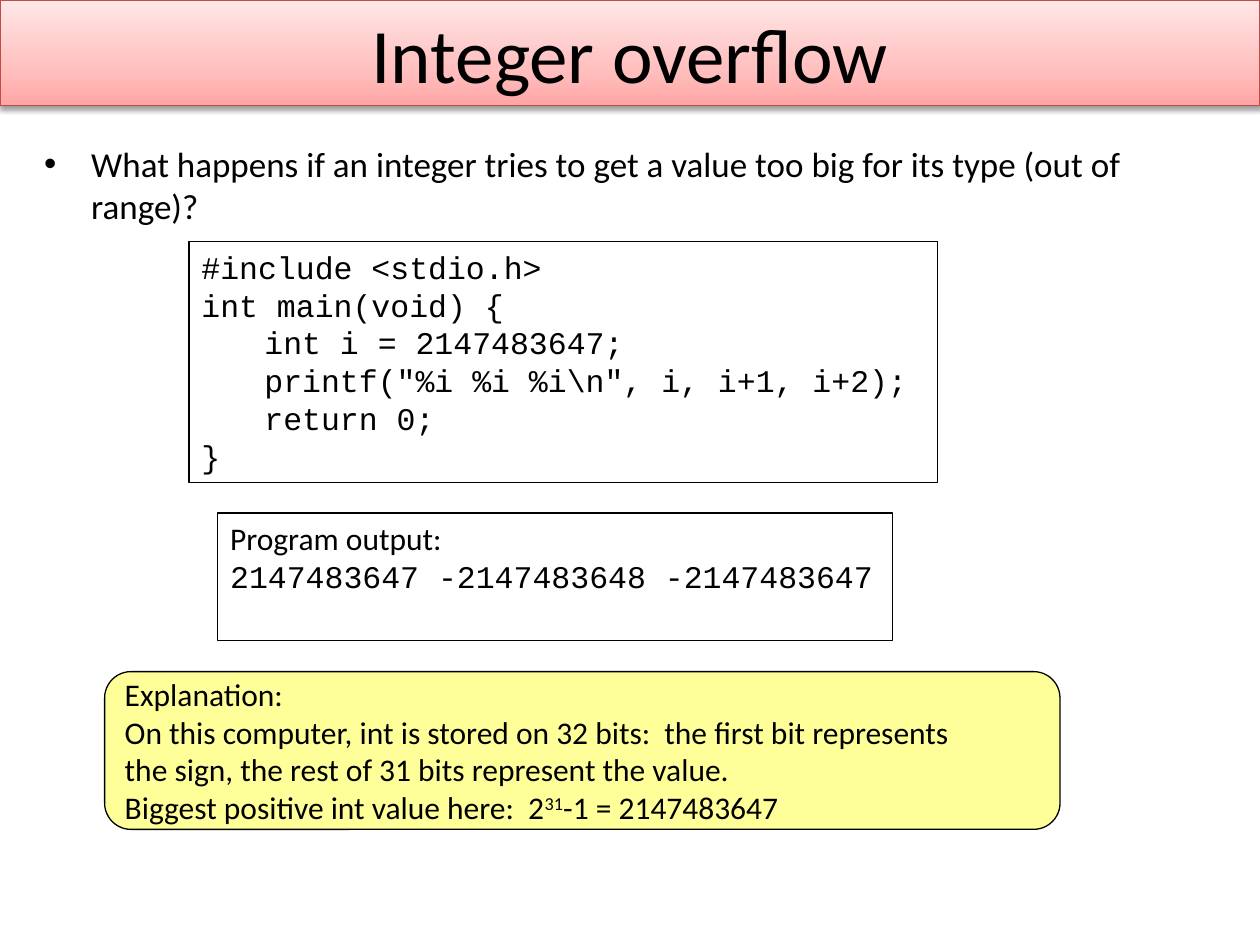
from dataclasses import dataclass

from pptx import Presentation
from pptx import util as u
from pptx.dml.color import RGBColor
from pptx.enum import shapes, text
from pptx.oxml import parse_xml
from pptx.oxml.ns import nsdecls, qn


@dataclass(frozen=True)
class Theme:
    ink: str = "000000"
    note_fill: str = "FFFF99"
    banner_line: str = "BF4C48"
    banner_stops: tuple = ((0, "FFA6A5"), (35, "FFC0BF"), (100, "FFE7E7"))
    body_font: str = "Calibri"
    code_font: str = "Courier New"
    title_size: int = 44
    bullet_size: int = 20
    box_size: int = 18
    line_width: float = 0.75


class SlideBuilder:
    def __init__(self, slide, theme):
        self.slide = slide
        self.theme = theme

    def add_run(self, paragraph, content, size, font=None, baseline=None):
        run = paragraph.add_run()
        run.text = content
        run.font.size = u.Pt(size)
        run.font.name = font or self.theme.body_font
        run.font.color.rgb = RGBColor.from_string(self.theme.ink)
        if baseline:
            run.font._element.set("baseline", str(baseline * 1000))

    def add_box(self, kind, place, fill=None, line=None):
        shape = self.slide.shapes.add_shape(kind, *map(u.Cm, place))
        shape.shadow.inherit = False
        if fill:
            shape.fill.solid()
            shape.fill.fore_color.rgb = RGBColor.from_string(fill)
        else:
            shape.fill.background()
        shape.line.color.rgb = RGBColor.from_string(line or self.theme.ink)
        shape.line.width = u.Pt(self.theme.line_width)
        return shape

    def add_banner(self, place, title):
        shape = self.add_box(shapes.MSO_SHAPE.RECTANGLE, place, line=self.theme.banner_line)
        stops = "".join(
            f'<a:gs pos="{position * 1000}"><a:srgbClr val="{color}"/></a:gs>'
            for position, color in self.theme.banner_stops
        )
        properties = shape._element.spPr
        properties.replace(properties.find(qn("a:noFill")), parse_xml(
            f'<a:gradFill {nsdecls("a")} rotWithShape="1"><a:gsLst>{stops}</a:gsLst>'
            '<a:lin ang="16200000" scaled="0"/></a:gradFill>'))
        properties.find(qn("a:effectLst")).append(parse_xml(
            f'<a:outerShdw {nsdecls("a")} blurRad="{u.Pt(3.1)}" dist="{u.Pt(1.6)}" '
            f'dir="5400000" rotWithShape="0"><a:srgbClr val="{self.theme.ink}">'
            '<a:alpha val="38000"/></a:srgbClr></a:outerShdw>'))
        frame = shape.text_frame
        frame.vertical_anchor = text.MSO_ANCHOR.MIDDLE
        paragraph = frame.paragraphs[0]
        paragraph.alignment = text.PP_ALIGN.CENTER
        self.add_run(paragraph, title, self.theme.title_size)

    def add_bullet(self, place, content):
        frame = self.slide.shapes.add_textbox(*map(u.Cm, place)).text_frame
        frame.word_wrap = True
        paragraph = frame.paragraphs[0]
        properties = paragraph._p.get_or_add_pPr()
        properties.set("marL", str(u.Cm(0.95)))
        properties.set("indent", str(u.Cm(-0.95)))
        properties.append(parse_xml(f'<a:buFont {nsdecls("a")} typeface="Arial"/>'))
        properties.append(parse_xml(f'<a:buChar {nsdecls("a")} char="•"/>'))
        self.add_run(paragraph, content, self.theme.bullet_size)

    def add_lines(self, shape, lines, anchor=text.MSO_ANCHOR.TOP):
        frame = shape.text_frame
        frame.word_wrap = False
        frame.vertical_anchor = anchor
        for index, (level, runs) in enumerate(lines):
            paragraph = frame.add_paragraph() if index else frame.paragraphs[0]
            paragraph.alignment = text.PP_ALIGN.LEFT
            if level:
                paragraph.level = level
                paragraph._p.get_or_add_pPr().set("marL", str(u.Cm(1.27 * level)))
            for content, font, baseline in runs:
                self.add_run(paragraph, content, self.theme.box_size, font, baseline)


def main():
    theme = Theme()
    presentation = Presentation()
    presentation.slide_width = u.Cm(25.4)
    presentation.slide_height = u.Cm(19.05)
    slide = presentation.slides.add_slide(presentation.slide_layouts[6])
    builder = SlideBuilder(slide, theme)

    builder.add_banner((0, 0, 25.4, 2.13), "Integer overflow")
    builder.add_bullet(
        (0.64, 2.74, 22.86, 12.57),
        "What happens if an integer tries to get a value too big for its type (out of range)?",
    )

    code = (
        (0, "#include <stdio.h>"),
        (0, "int main(void) {"),
        (1, "int i = 2147483647;"),
        (1, r'printf("%i %i %i\n", i, i+1, i+2);'),
        (1, "return 0;"),
        (0, "}"),
    )
    code_box = builder.add_box(shapes.MSO_SHAPE.RECTANGLE, (3.81, 4.87, 15.09, 4.86))
    builder.add_lines(
        code_box, [(level, [(line, theme.code_font, None)]) for level, line in code])

    output_box = builder.add_box(shapes.MSO_SHAPE.RECTANGLE, (4.39, 10.34, 13.61, 2.57))
    builder.add_lines(output_box, [
        (0, [("Program output:", None, None)]),
        (0, [("2147483647 -2147483648 -2147483647", theme.code_font, None)]),
    ])

    note = builder.add_box(
        shapes.MSO_SHAPE.ROUNDED_RECTANGLE, (2.11, 13.54, 19.26, 3.18), theme.note_fill)
    builder.add_lines(note, [
        (0, [("Explanation:", None, None)]),
        (0, [("On this computer, int is stored on 32 bits:  the first bit represents", None, None)]),
        (0, [("the sign, the rest of 31 bits represent the value.", None, None)]),
        (0, [
            ("Biggest positive int value here:  2", None, None),
            ("31", None, 30),
            ("-1 = 2147483647", None, None),
        ]),
    ], text.MSO_ANCHOR.MIDDLE)

    presentation.save("out.pptx")


if __name__ == "__main__":
    main()
